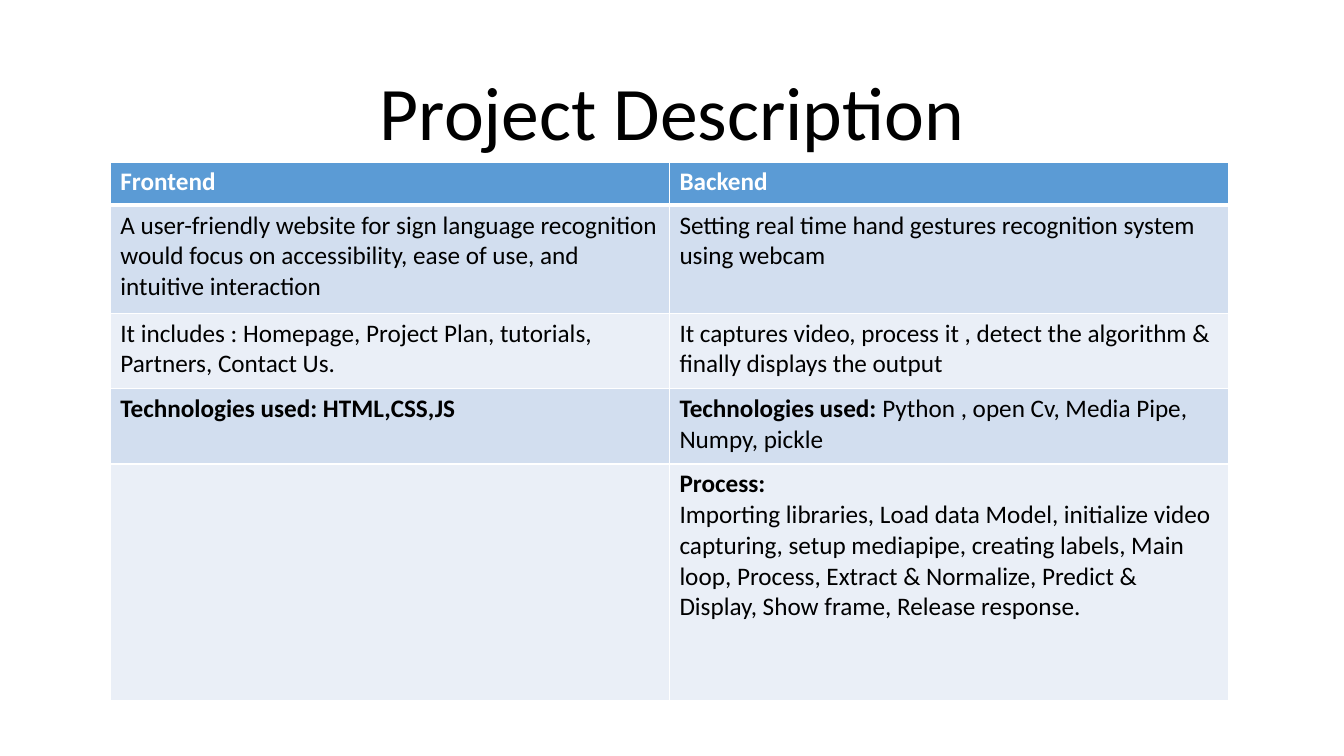
from lxml import etree
from pptx import Presentation
from pptx.dml.color import RGBColor
from pptx.enum.text import MSO_ANCHOR, MSO_AUTO_SIZE, PP_ALIGN
from pptx.oxml.ns import qn
from pptx.util import Cm, Pt

CENTER = PP_ALIGN.CENTER
BOTTOM = MSO_ANCHOR.BOTTOM
NO_AUTOFIT = MSO_AUTO_SIZE.NONE
TITLE_ONLY = 5

WHITE, BLACK = "FFFFFF", "000000"
HEADER_FILL = "5B9BD5"
BAND_FILLS = ("D2DEEF", "EAEFF7")

HEADERS = ("Frontend", "Backend")
ROW_HEIGHTS = (1.09, 2.72, 1.9, 1.9, 5.97)


def plain(text):
    """Return a regular run."""
    return text, False


def bold(text):
    """Return a bold run."""
    return text, True


BODY = [
    (
        [[plain("A user-friendly website for sign language recognition would focus "
                "on accessibility, ease of use, and intuitive interaction")]],
        [[plain("Setting real time hand gestures recognition system using webcam")]],
    ),
    (
        [[plain("It includes : Homepage, Project Plan, tutorials, Partners, Contact Us.")]],
        [[plain("It captures video, process it , detect the algorithm & finally "
                "displays the output")]],
    ),
    (
        [[bold("Technologies used: HTML,CSS,JS")]],
        [[bold("Technologies used: "),
          plain("Python , open Cv, Media Pipe, Numpy, pickle")]],
    ),
    (
        [],
        [[bold("Process:")],
         [plain("Importing libraries, Load data Model, initialize video capturing, "
                "setup mediapipe, creating labels, Main loop, Process, Extract & "
                "Normalize, Predict & Display, Show frame, Release response.")]],
    ),
]


def color(value):
    """Turn a hex string into a colour."""
    return RGBColor.from_string(value)


def apply(target, values):
    """Set every attribute named in the values on the target."""
    for name, value in values.items():
        setattr(target, name, value)


class SlideBuilder:
    """Hold the style and the current slide."""

    font_name = "Calibri"

    def __init__(self, presentation):
        """Add a title-only slide to the presentation."""
        self.slide = presentation.slides.add_slide(
            presentation.slide_layouts[TITLE_ONLY])

    def run(self, paragraph, text, size, text_color, is_bold=False):
        """Add one formatted run to a paragraph."""
        run = paragraph.add_run()
        run.text = text
        apply(run.font, {"name": self.font_name, "size": Pt(size), "bold": is_bold})
        run.font.color.rgb = color(text_color)

    def title(self, text, left, top, width, height):
        """Place and format the title placeholder."""
        shape = self.slide.shapes.title
        apply(shape, {"left": Cm(left), "top": Cm(top),
                      "width": Cm(width), "height": Cm(height)})
        apply(shape.text_frame, {"vertical_anchor": BOTTOM, "word_wrap": True,
                                 "auto_size": NO_AUTOFIT})
        paragraph = shape.text_frame.paragraphs[0]
        apply(paragraph, {"alignment": CENTER, "line_spacing": 0.9})
        self.run(paragraph, text, 54, BLACK)

    def borders(self, cell, top, bottom):
        """Draw white cell borders with the given top and bottom widths."""
        properties = cell._tc.get_or_add_tcPr()
        for side, width in {"L": 1, "R": 1, "T": top, "B": bottom}.items():
            line = etree.SubElement(properties, qn(f"a:ln{side}"), w=str(Pt(width)))
            fill = etree.SubElement(line, qn("a:solidFill"))
            etree.SubElement(fill, qn("a:srgbClr"), val=WHITE)

    def cell(self, cell, paragraphs, fill, text_color):
        """Fill a cell with colour and paragraphs of runs."""
        cell.fill.solid()
        cell.fill.fore_color.rgb = color(fill)
        frame = cell.text_frame
        for index, runs in enumerate(paragraphs):
            paragraph = frame.add_paragraph() if index else frame.paragraphs[0]
            for text, is_bold in runs:
                self.run(paragraph, text, 18, text_color, is_bold)

    def table(self, headers, body, left, top, width, heights):
        """Add a table with a header row and banded body rows."""
        rows = [[[[bold(header)]] for header in headers], *body]
        table = self.slide.shapes.add_table(
            len(rows), len(headers), Cm(left), Cm(top),
            Cm(width), Cm(sum(heights))).table
        for index, (contents, height) in enumerate(zip(rows, heights)):
            table.rows[index].height = Cm(height)
            is_header = index == 0
            fill = HEADER_FILL if is_header else BAND_FILLS[(index - 1) % 2]
            for column, paragraphs in enumerate(contents):
                cell = table.cell(index, column)
                self.borders(cell, 3 if index == 1 else 1, 3 if is_header else 1)
                self.cell(cell, paragraphs, fill, WHITE if is_header else BLACK)


def main():
    """Build the project description slide."""
    presentation = Presentation()
    apply(presentation, {"slide_width": Cm(33.87), "slide_height": Cm(19.05)})
    builder = SlideBuilder(presentation)
    builder.title("Project Description", 4.24, 2.29, 25.4, 1.78)
    builder.table(HEADERS, BODY, 2.78, 4.08, 28.18, ROW_HEIGHTS)
    presentation.save("out.pptx")


if __name__ == "__main__":
    main()
